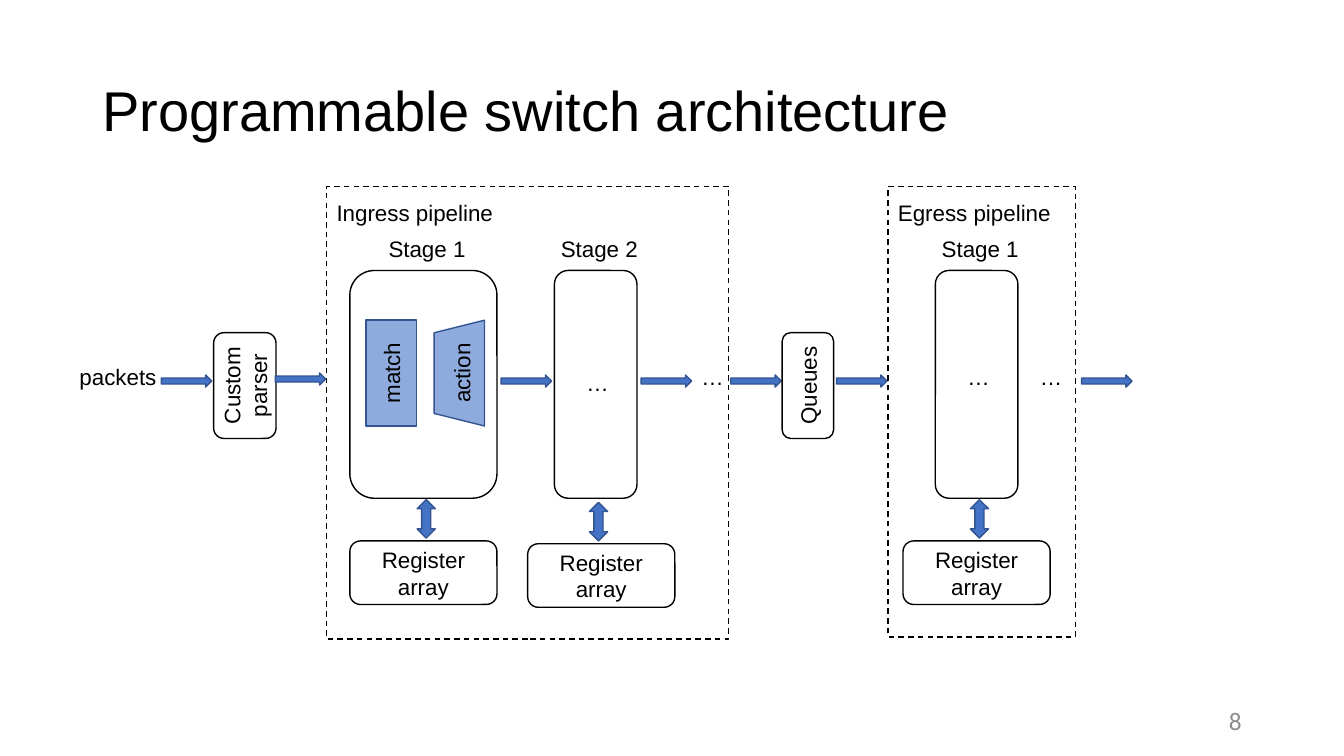
import dataclasses

import pptx
import pptx.dml.color
import pptx.enum.dml
import pptx.enum.shapes
import pptx.enum.text
import pptx.util

Pt = pptx.util.Pt
SHAPE = pptx.enum.shapes.MSO_SHAPE
ALIGN = pptx.enum.text.PP_ALIGN
ANCHOR = pptx.enum.text.MSO_ANCHOR


@dataclasses.dataclass(frozen=True)
class Theme:
    text: str = "000000"
    muted: str = "8C8C8C"
    outline: str = "000000"
    arrow: str = "4472C4"
    unit: str = "8FAADC"
    edge: str = "325491"
    font: str = "Arial"
    number_font: str = "Calibri"
    title_size: int = 40
    body_size: int = 16
    number_size: int = 18


@dataclasses.dataclass(frozen=True)
class Stage:
    """A pipeline stage; left is measured from its pipeline's box."""
    name: str
    left: float
    width: float
    register_shift: float = 0
    lowered: float = 0
    ellipsis_top: float = 0
    has_match_action: bool = False
    has_exit_arrow: bool = False


THEME = Theme()
STAGE_TOP, STAGE_HEIGHT = 60, 162.7
ARROW_TOP, ARROW_WIDTH, ARROW_HEIGHT = 267.84, 36, 8.64
UNIT_WIDTH, UNIT_HEIGHT = 36, 75.6
REGISTER_WIDTH, REGISTER_HEIGHT = 105.1, 45.4
LABEL_WIDTH, LABEL_HEIGHT = 75, 26.6


def color(value):
    return pptx.dml.color.RGBColor.from_string(value)


def write(frame, lines, align=ALIGN.LEFT, size=THEME.body_size,
          font=THEME.font, text_color=THEME.text):
    for index, line in enumerate(lines):
        paragraph = frame.paragraphs[0] if index == 0 else frame.add_paragraph()
        paragraph.alignment = align
        run = paragraph.add_run()
        run.text = line
        run.font.size = Pt(size)
        run.font.name = font
        run.font.color.rgb = color(text_color)


def add_label(slide, text, left, top, width=LABEL_WIDTH):
    box = slide.shapes.add_textbox(Pt(left), Pt(top), Pt(width), Pt(LABEL_HEIGHT))
    box.text_frame.word_wrap = True
    write(box.text_frame, [text])


def add_block(slide, kind, left, top, width, height, lines=(),
              fill=None, line=THEME.outline, upright=False):
    """Add a centred-text shape; upright turns its text to read upwards."""
    shape = slide.shapes.add_shape(kind, Pt(left), Pt(top), Pt(width), Pt(height))
    shape.shadow.inherit = False
    if fill:
        shape.fill.solid()
        shape.fill.fore_color.rgb = color(fill)
    else:
        shape.fill.background()
    shape.line.color.rgb = color(line)
    shape.line.width = Pt(1)
    frame = shape.text_frame
    frame.word_wrap = True
    frame.vertical_anchor = ANCHOR.MIDDLE
    if upright:
        frame._txBody.bodyPr.set("vert", "vert270")
    write(frame, lines, ALIGN.CENTER)
    return shape


def add_flow_arrow(slide, left, top=ARROW_TOP):
    add_block(slide, SHAPE.RIGHT_ARROW, left, top, ARROW_WIDTH, ARROW_HEIGHT,
              fill=THEME.arrow, line=THEME.edge)


def add_match_action(slide, left, top):
    add_block(slide, SHAPE.RECTANGLE, left + 11.5, top + 35.5, UNIT_WIDTH, UNIT_HEIGHT,
              ["match"], THEME.unit, THEME.edge, upright=True)
    center_x, center_y = left + 78.2, top + 35.5 + UNIT_HEIGHT / 2
    action = add_block(slide, SHAPE.TRAPEZOID, center_x - UNIT_HEIGHT / 2,
                       center_y - UNIT_WIDTH / 2, UNIT_HEIGHT, UNIT_WIDTH,
                       ["action"], THEME.unit, THEME.edge)
    action.rotation = 270


def add_stage(slide, stage, left, top):
    """Add a stage with its name above and its register array below."""
    center, bottom = left + stage.width / 2, top + STAGE_HEIGHT
    add_block(slide, SHAPE.ROUNDED_RECTANGLE, left, top, stage.width, STAGE_HEIGHT)
    add_label(slide, stage.name, center - 32, top - 28.8)
    if stage.has_match_action:
        add_match_action(slide, left, top)
    else:
        add_label(slide, "…", center - 13.7, top + stage.ellipsis_top, 33)
    if stage.has_exit_arrow:
        add_flow_arrow(slide, left + stage.width + 3)
    add_block(slide, SHAPE.UP_DOWN_ARROW, center - 4.5, bottom + 1 + stage.lowered,
              13, 27.4, fill=THEME.arrow, line=THEME.edge)
    add_block(slide, SHAPE.ROUNDED_RECTANGLE,
              center - REGISTER_WIDTH / 2 + stage.register_shift,
              bottom + 30.5 + stage.lowered, REGISTER_WIDTH, REGISTER_HEIGHT,
              ["Register array"])


def add_pipeline(slide, name, box, stages, ellipsis_left):
    left, top, width, height = box
    frame_shape = add_block(slide, SHAPE.RECTANGLE, left, top, width, height)
    frame_shape.line.dash_style = pptx.enum.dml.MSO_LINE.DASH
    frame_shape.text_frame.vertical_anchor = ANCHOR.TOP
    frame_shape.text_frame.margin_top = Pt(9)
    write(frame_shape.text_frame, [name])
    for stage in stages:
        add_stage(slide, stage, left + stage.left, top + STAGE_TOP)
    add_label(slide, "…", left + ellipsis_left, top + 122.6, 33)


def add_title(slide, box):
    title = slide.shapes.title
    title.left, title.top, title.width, title.height = map(Pt, box)
    title.text_frame.vertical_anchor = ANCHOR.MIDDLE
    write(title.text_frame, ["Programmable switch architecture"], size=THEME.title_size)
    title.text_frame.paragraphs[0].line_spacing = 0.9


def add_slide_number(slide, box):
    number = slide.shapes.add_textbox(*map(Pt, box))
    number.text_frame.word_wrap = True
    number.text_frame.vertical_anchor = ANCHOR.MIDDLE
    write(number.text_frame, ["8"], ALIGN.RIGHT, THEME.number_size,
          THEME.number_font, THEME.muted)


def add_architecture(slide):
    """Lay out the packet path from the parser to the egress pipeline."""
    add_label(slide, "packets", 49.7, 255.6, 76.3)
    add_flow_arrow(slide, 115.2)
    add_block(slide, SHAPE.ROUNDED_RECTANGLE, 152.6, 237.6, 44.6, UNIT_HEIGHT,
              ["Custom", "parser"], upright=True)
    add_flow_arrow(slide, 196.6, ARROW_TOP - 1.4)
    add_pipeline(slide, "Ingress pipeline", (233.3, 133.2, 287.3, 323.3), [
        Stage("Stage 1", 16.6, 105.1, has_match_action=True, has_exit_arrow=True),
        Stage("Stage 2", 162.7, 59, register_shift=4, lowered=2,
              ellipsis_top=67, has_exit_arrow=True),
    ], ellipsis_left=260.6)
    add_flow_arrow(slide, 522)
    add_block(slide, SHAPE.ROUNDED_RECTANGLE, 558.7, 237.6, 36.7, UNIT_HEIGHT,
              ["Queues"], upright=True)
    add_flow_arrow(slide, 597.6)
    add_pipeline(slide, "Egress pipeline", (634.3, 133.2, 133.9, 321.8), [
        Stage("Stage 1", 33.8, 59, ellipsis_top=62.5),
    ], ellipsis_left=101.5)
    add_flow_arrow(slide, 772.6)


def main():
    presentation = pptx.Presentation()
    presentation.slide_width, presentation.slide_height = Pt(960), Pt(540)
    slide = presentation.slides.add_slide(presentation.slide_layouts[5])
    add_title(slide, (66, 28.8, 828, 104.4))
    add_architecture(slide)
    add_slide_number(slide, (678, 504, 216, 21.6))
    presentation.save("out.pptx")


if __name__ == "__main__":
    main()
